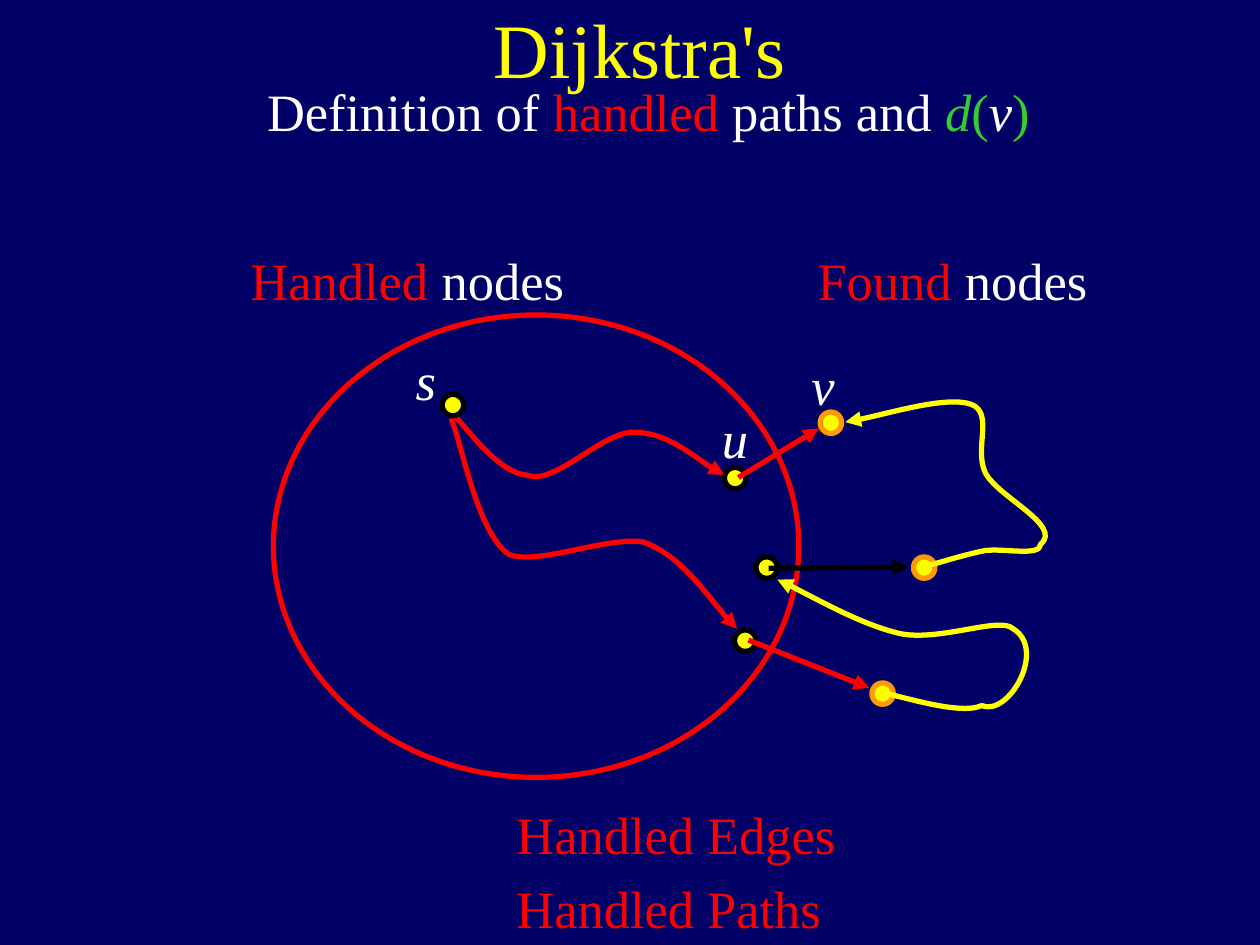
from typing import NamedTuple

import pptx
import pptx.dml.color
import pptx.enum.shapes
import pptx.enum.text
import pptx.oxml
import pptx.oxml.ns
import pptx.util
from pptx.dml.color import RGBColor
from pptx.util import Inches

NAVY = RGBColor(0x00, 0x00, 0x66)
YELLOW = RGBColor(0xFF, 0xFF, 0x00)
RED = RGBColor(0xFF, 0x00, 0x00)
WHITE = RGBColor(0xFF, 0xFF, 0xFF)
BLACK = RGBColor(0x00, 0x00, 0x00)
ORANGE = RGBColor(0xFF, 0x99, 0x00)
GREEN = RGBColor(0x33, 0xCC, 0x33)

FONT = "Times New Roman"
TITLE_SIZE = 44
TEXT_SIZE = 30
LINE_WIDTH = pptx.util.Pt(3)
NODE_SIZE = 0.17
LABEL_HEIGHT = 0.6

Point = tuple[float, float]


class Span(NamedTuple):
    text: str
    color: RGBColor
    italic: bool = False


class Label(NamedTuple):
    left: float
    top: float
    width: float
    spans: list[Span]
    centered: bool = False


class Node(NamedTuple):
    left: float
    top: float
    outline: RGBColor


class Edge(NamedTuple):
    start: Point
    end: Point
    color: RGBColor


class Route(NamedTuple):
    """Cubic curve: a start, then two controls and an end for each piece."""
    color: RGBColor
    points: list[Point]


NODES = [
    Node(3.51, 3.13, BLACK),
    Node(5.75, 3.71, BLACK),
    Node(5.83, 5, BLACK),
    Node(6, 4.42, BLACK),
    Node(6.51, 3.27, ORANGE),
    Node(6.92, 5.42, ORANGE),
    Node(7.25, 4.42, ORANGE),
]

EDGES = [
    Edge((5.86, 3.79), (6.5, 3.4), RED),
    Edge((5.94, 5.08), (6.9, 5.46), RED),
    Edge((6.1, 4.51), (7.21, 4.5), BLACK),
]

HANDLED_ROUTES = [
    Route(RED, [(3.58, 3.27), (3.68, 3.36), (3.94, 3.75), (4.18, 3.77),
                (4.4, 3.86), (4.77, 3.43), (5.03, 3.43),
                (5.29, 3.43), (5.6, 3.7), (5.75, 3.77)]),
    Route(RED, [(3.58, 3.32), (3.66, 3.5), (3.79, 4.24), (4.04, 4.4),
                (4.26, 4.49), (4.81, 4.26), (5.1, 4.3),
                (5.4, 4.4), (5.69, 4.84), (5.85, 4.99)]),
]

OUTSIDE_ROUTES = [
    Route(YELLOW, [(7.01, 5.5), (7.14, 5.52), (7.62, 5.68), (7.79, 5.6),
                   (8.01, 5.69), (8.31, 5.15), (8.04, 4.99),
                   (7.94, 4.89), (7.47, 5.09), (7.15, 5.03),
                   (6.84, 4.96), (6.37, 4.69), (6.17, 4.6)]),
    Route(YELLOW, [(7.33, 4.5), (7.41, 4.48), (7.66, 4.4), (7.82, 4.37),
                   (7.97, 4.35), (8.26, 4.42), (8.26, 4.32),
                   (8.44, 4.17), (7.91, 3.94), (7.82, 3.75),
                   (7.73, 3.56), (7.89, 3.28), (7.71, 3.21),
                   (7.52, 3.14), (6.92, 3.32), (6.71, 3.35)]),
]

LABELS = [
    Label(2.02, 0.58, 6.25, [
        Span("Definition of ", WHITE), Span("handled", RED),
        Span(" paths and ", WHITE), Span("d", GREEN, True),
        Span("(", GREEN), Span("v", WHITE, True), Span(")", GREEN),
    ], centered=True),
    Label(1.89, 1.92, 2.69, [Span("Handled ", RED), Span("nodes", WHITE)]),
    Label(6.39, 1.92, 2.34, [Span("Found ", RED), Span("nodes", WHITE)]),
    Label(3.2, 2.71, 0.36, [Span("s", WHITE, True)]),
    Label(5.63, 3.17, 0.41, [Span("u", WHITE, True)]),
    Label(6.34, 2.75, 0.38, [Span("v", WHITE, True)]),
    Label(4, 6.32, 2.75, [Span("Handled Edges", RED)]),
    Label(4, 6.9, 2.62, [Span("Handled Paths", RED)]),
]


def add_span(para, span: Span, size: float) -> None:
    run = para.add_run()
    run.text = span.text
    run.font.name = FONT
    run.font.size = pptx.util.Pt(size)
    run.font.italic = span.italic
    run.font.color.rgb = span.color


def style_line(line, color: RGBColor) -> None:
    line.color.rgb = color
    line.width = LINE_WIDTH


def add_arrowhead(line) -> None:
    head = pptx.oxml.parse_xml(
        f'<a:tailEnd {pptx.oxml.ns.nsdecls("a")} type="triangle"/>')
    line._get_or_add_ln().append(head)


def fill_title(page) -> None:
    title = page.shapes.title
    title.left, title.top = Inches(0.83), Inches(-0.25)
    title.width, title.height = Inches(8.5), Inches(1.25)
    frame = title.text_frame
    frame.auto_size = pptx.enum.text.MSO_AUTO_SIZE.NONE
    frame.vertical_anchor = pptx.enum.text.MSO_ANCHOR.MIDDLE
    para = frame.paragraphs[0]
    para.alignment = pptx.enum.text.PP_ALIGN.CENTER
    add_span(para, Span("Dijkstra's", YELLOW), TITLE_SIZE)


def add_label(page, label: Label) -> None:
    box = page.shapes.add_textbox(Inches(label.left), Inches(label.top),
                                  Inches(label.width), Inches(LABEL_HEIGHT))
    box.text_frame.word_wrap = False
    box.text_frame.auto_size = pptx.enum.text.MSO_AUTO_SIZE.SHAPE_TO_FIT_TEXT
    para = box.text_frame.paragraphs[0]
    if label.centered:
        para.alignment = pptx.enum.text.PP_ALIGN.CENTER
    for span in label.spans:
        add_span(para, span, TEXT_SIZE)


def add_ellipse(page, left: float, top: float, width: float, height: float,
                outline: RGBColor):
    ellipse = page.shapes.add_shape(
        pptx.enum.shapes.MSO_SHAPE.OVAL,
        Inches(left), Inches(top), Inches(width), Inches(height))
    ellipse.shadow.inherit = False
    ellipse.fill.background()
    style_line(ellipse.line, outline)
    return ellipse


def add_node(page, node: Node) -> None:
    dot = add_ellipse(page, node.left, node.top, NODE_SIZE, NODE_SIZE, node.outline)
    dot.fill.solid()
    dot.fill.fore_color.rgb = YELLOW


def add_edge(page, edge: Edge) -> None:
    arrow = page.shapes.add_connector(
        pptx.enum.shapes.MSO_CONNECTOR.STRAIGHT, *map(Inches, edge.start + edge.end))
    style_line(arrow.line, edge.color)
    add_arrowhead(arrow.line)
    arrow.element.spPr.append(
        pptx.oxml.parse_xml(f'<a:effectLst {pptx.oxml.ns.nsdecls("a")}/>'))


def add_route(page, route: Route) -> None:
    """Build an outline through all points, then turn each three into a curve."""
    start, *rest = [(Inches(x), Inches(y)) for x, y in route.points]
    builder = page.shapes.build_freeform(*start)
    builder.add_line_segments(rest, close=False)
    curve = builder.convert_to_shape()
    segments = list(curve.element.iter(pptx.oxml.ns.qn("a:lnTo")))
    for first in range(0, len(segments), 3):
        piece = pptx.oxml.parse_xml(f'<a:cubicBezTo {pptx.oxml.ns.nsdecls("a")}/>')
        segments[first].addprevious(piece)
        for segment in segments[first:first + 3]:
            piece.append(segment[0])
            segment.getparent().remove(segment)
    curve.shadow.inherit = False
    curve.fill.background()
    style_line(curve.line, route.color)
    add_arrowhead(curve.line)


def main() -> None:
    deck = pptx.Presentation()
    deck.slide_width, deck.slide_height = Inches(10), Inches(7.5)
    page = deck.slides.add_slide(deck.slide_layouts.get_by_name("Title Only"))
    page.background.fill.solid()
    page.background.fill.fore_color.rgb = NAVY

    fill_title(page)
    add_ellipse(page, 2.17, 2.5, 4.17, 3.67, RED)
    for draw, items in [(add_route, HANDLED_ROUTES), (add_node, NODES),
                        (add_edge, EDGES), (add_route, OUTSIDE_ROUTES),
                        (add_label, LABELS)]:
        for item in items:
            draw(page, item)
    deck.save("out.pptx")


if __name__ == "__main__":
    main()
